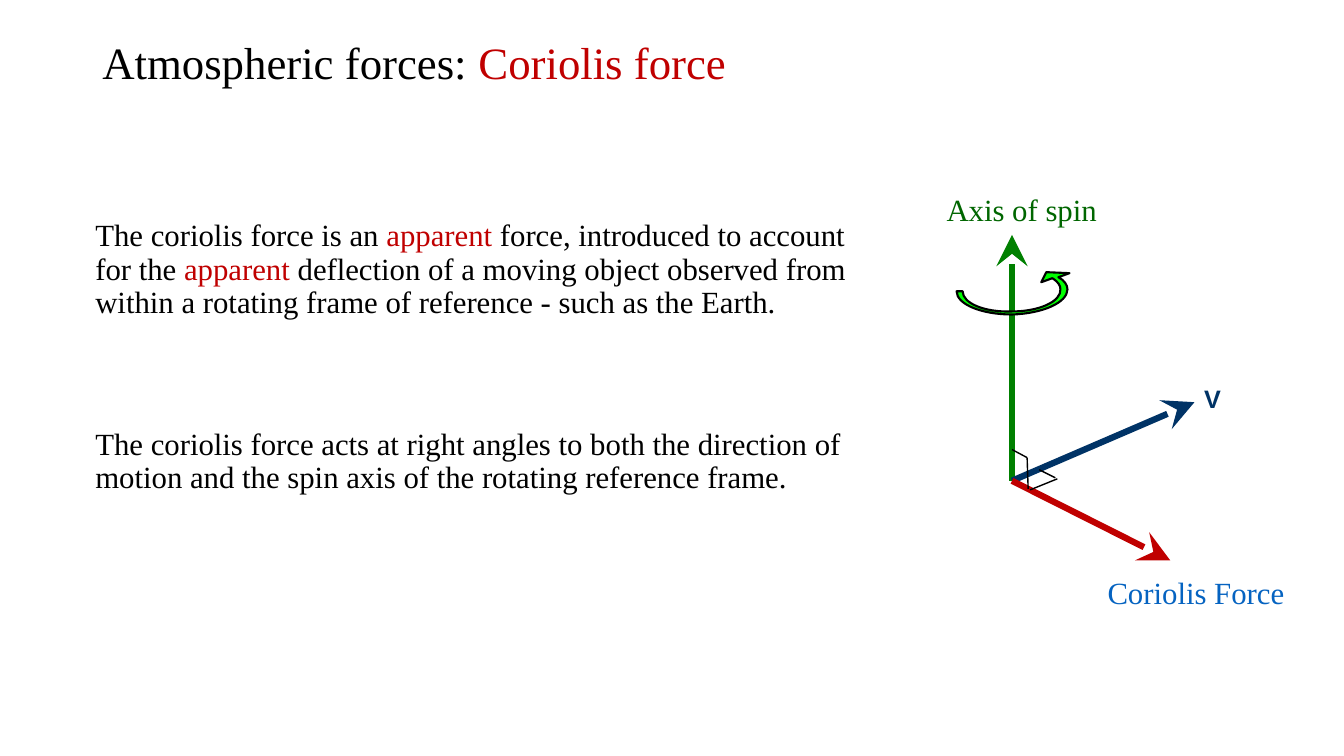
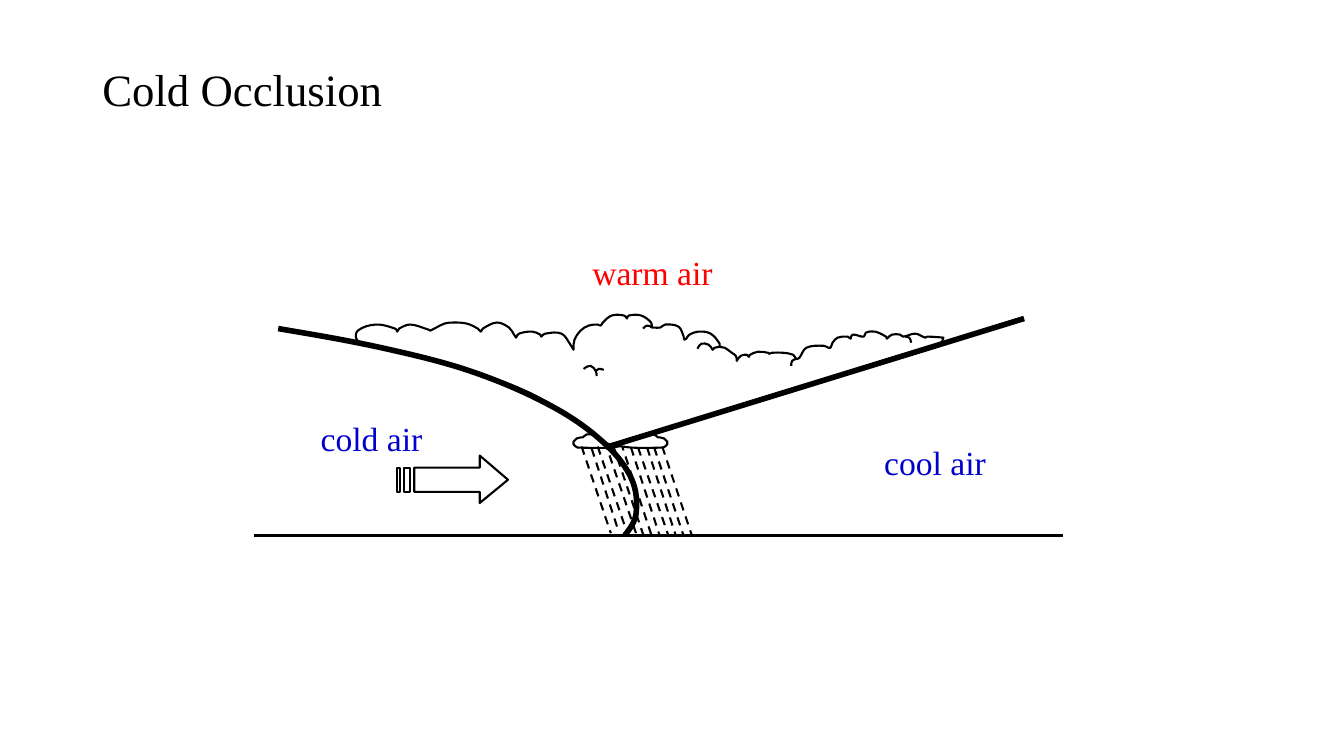
from lxml import etree
from pptx import Presentation
from pptx.dml.color import RGBColor
from pptx.enum import dml, shapes, text
from pptx.oxml.ns import qn
from pptx.util import Pt

HUE = dict(ink="000000", paper="FFFFFF", red="C00000", warm="FF0000",
           cold="0000CC", spin="008000", axis="006600", speed="003366",
           force="0563C1", turn="00FF00")
SERIF, SANS = "Times New Roman", "Arial"
GRID = 0.72  # points per step of the drawing grid

# Slide 1: text in points, drawing in grid steps
HEAD1 = [[("Atmospheric forces: ", "ink"), ("Coriolis force", "red")]]
BODY = [
    [("The coriolis force is an ", "ink"), ("apparent", "red"),
     (" force, introduced to account for the ", "ink"), ("apparent", "red"),
     (" deflection of a moving object observed from within a rotating frame"
      " of reference - such as the Earth.", "ink")],
    [("The coriolis force acts at right angles to both the direction of "
      "motion and the spin axis of the rotating reference frame.", "ink")],
]
ROOT = (1004, 477)
ARROWS = [((1004, 233), "spin"), ((1185, 399), "speed"), ((1161, 556), "red")]
MARKS = [((1004, 446), (1019, 454)), ((1019, 454), (1020, 485)),
         ((1022, 486), (1049, 475)), ((1031, 466), (1047, 474))]
# A path is a start and its parts: one spot for a line, three for a curve
TURN = ((1044, 276), [
    [(1050, 280), (1052, 283), (1052, 287)],
    [(1053, 299), (1031, 309), (1004, 309)],
    [(977, 310), (955, 301), (955, 289)],
    [(949, 289)],
    [(949, 302), (974, 312), (1004, 312)],
    [(1035, 311), (1059, 300), (1059, 287)],
    [(1059, 283), (1056, 278), (1050, 275)],
    [(1061, 271)], [(1038, 270)], [(1033, 280)]])
NAMES1 = [
    ("V", (853, 270, 27, 29), dict(hue="speed", size=18, font=SANS, bold=True)),
    ("Coriolis Force", (784, 406.5, 143, 34), dict(hue="force", size=22)),
    ("Axis of spin", (669, 132.5, 123, 34), dict(hue="axis", size=22)),
]

# Slide 2
HEAD2 = [[("Cold Occlusion", "ink")]]
NAMES2 = [("cold air", (222, 295, 88, 36), "cold"),
          ("warm air", (416, 176.5, 102, 36), "warm"),
          ("cool air", (624.5, 312, 88, 36), "cold")]
PUFF = [(573, 444), (605, 444), (623, 441), (619, 423), (608, 419), (602, 424),
        (597, 422), (593, 422), (589, 426), (589, 431), (587, 431), (582, 431),
        (578, 434), (576, 434), (572, 435), (569, 438), (569, 441), (573, 444)]
MIRROR = 1231  # sum of x for the two low clouds
CLOUD = [
    (681, 336), (679, 337), (678, 333), (673, 324), (660, 322), (655, 325),
    (649, 325), (647, 325), (646, 320), (636, 313), (624, 313), (622, 316),
    (619, 313), (607, 313), (598, 320), (596, 323), (593, 322), (584, 323),
    (576, 328), (570, 337), (569, 347), (566, 342), (557, 331), (541, 331),
    (537, 334), (536, 332), (528, 329), (515, 331), (512, 335), (510, 332),
    (505, 325), (493, 320), (479, 326), (477, 329), (474, 326), (463, 321),
    (450, 320), (441, 321), (431, 326), (427, 328), (425, 327), (407, 322),
    (396, 326), (394, 329), (392, 326), (373, 322), (355, 328), (354, 337),
    (363, 341), (394, 348), (436, 358), (489, 375), (530, 392), (575, 419),
    (601, 440), (622, 436), (748, 398), (905, 350), (932, 342), (936, 335),
    (920, 334), (918, 335), (908, 331), (896, 334), (893, 332), (885, 332),
    (880, 336), (879, 334), (868, 329), (859, 330), (857, 334), (846, 332),
    (844, 336), (841, 334), (831, 335), (826, 340), (824, 345), (822, 345),
    (817, 343), (800, 345), (793, 355), (790, 356), (787, 352), (777, 350),
    (766, 350), (763, 351), (762, 350), (752, 349), (744, 352), (743, 354),
    (741, 352), (735, 353), (731, 358), (730, 353), (726, 350), (719, 345),
    (714, 344), (714, 341), (705, 331), (693, 329), (684, 332), (681, 336)]
CURLS = [[(791, 356), (786, 358), (785, 363)],
         [(904, 340), (902, 335), (898, 334)],
         [(716, 344), (709, 345), (707, 347), (703, 342), (696, 341), (692, 346)],
         [(579, 366), (586, 363), (591, 368), (592, 373)],
         [(599, 367), (594, 366), (591, 368)],
         [(647, 325), (642, 323), (638, 326)]]
FRONT = [(276, 326), (383, 346), (472, 370), (551, 405), (601, 441), (627, 476),
         (631, 510), (620, 531)]
WIND = ((476, 452), [[(476, 464)], [(411, 464)], [(411, 488)], [(476, 488)],
                     [(476, 499)], [(504, 476)]])
BARS = [(401, 407), (394, 397)]
# Each dash: top x, top y, foot x, foot y
BACK = [(616, 439, 646, 530), (633, 444, 663, 531), (626, 444, 654, 530)]
RAIN = [(587, 445, 614, 528), (649, 444, 678, 531), (600, 438, 631, 529),
        (593, 443, 622, 528), (608, 441, 638, 530), (642, 444, 670, 530),
        (577, 443, 606, 529), (657, 443, 686, 530)]


def color(name):
    return RGBColor.from_string(HUE[name])


def write(page, box, paras, size=32, font=SERIF, bold=False, wrap=True,
          middle=False, line=None, gap=0):
    frame = page.shapes.add_textbox(*map(Pt, box)).text_frame
    frame.word_wrap = wrap
    if middle:
        frame.vertical_anchor = text.MSO_ANCHOR.MIDDLE
    for i, runs in enumerate(paras):
        para = frame.paragraphs[0] if i == 0 else frame.add_paragraph()
        if line:
            para.line_spacing = line
        if i:
            para.space_before = Pt(gap)
        for words, hue in runs:
            run = para.add_run()
            run.text = words
            run.font.name, run.font.size, run.font.bold = font, Pt(size), bold
            run.font.color.rgb = color(hue)


def label(page, words, box, hue, **style):
    write(page, box, [[(words, hue)]], wrap=False, **style)


def title(page, box, paras):
    write(page, box, paras, middle=True, line=0.9)


def place(spot):
    return tuple(Pt(v * GRID) for v in spot)


def stroke(page, start, end, hue="ink", width=1.5, dash=False, head=False):
    link = page.shapes.add_connector(shapes.MSO_CONNECTOR.STRAIGHT,
                                     *place(start), *place(end))
    link.line.color.rgb = color(hue)
    link.line.width = Pt(width)
    if dash:
        link.line.dash_style = dml.MSO_LINE.DASH
    if head:
        etree.SubElement(link.line._get_or_add_ln(), qn("a:tailEnd"),
                         type="stealth", w="lg", len="lg")
    etree.SubElement(link._element.spPr, qn("a:effectLst"))


def smooth(spots):
    """Path of curves through the spots, sharp at tight corners."""
    z = [complex(*s) for s in spots]
    z = [z[0]] + z + [z[-1]]

    def slope(a, b, c, chord):
        if ((b - a).conjugate() * (c - b)).real <= 0:
            return None
        return (c - a) / abs(c - a) * abs(chord)

    parts = []
    for a, b, c, d in zip(z, z[1:], z[2:], z[3:]):
        chord = c - b
        m, n = slope(a, b, c, chord), slope(b, c, d, chord)
        if m is None:
            m = chord if n is None else 1.5 * chord - 0.5 * n
        if n is None:
            n = 1.5 * chord - 0.5 * m
        parts.append([(p.real, p.imag) for p in (b + m / 3, c - n / 3, c)])
    return spots[0], parts


def outline(page, *paths, fill=None, width=1.5, close=True):
    pen = None
    for start, parts in paths:
        if pen is None:
            pen = page.shapes.build_freeform(*place(start), scale=1.0)
        else:
            pen.move_to(*place(start))
        pen.add_line_segments([place(s) for part in parts for s in part],
                              close=close)
    form = pen.convert_to_shape()
    # Join each run of three lines into one curve
    lines = iter(list(form._element.iter(qn("a:lnTo"))))
    for part in (p for _, parts in paths for p in parts):
        group = [next(lines) for _ in part]
        if len(group) == 3:
            curve = etree.Element(qn("a:cubicBezTo"))
            group[0].addprevious(curve)
            for item in group:
                curve.append(item[0])
                item.getparent().remove(item)
    form.shadow.inherit = False
    if fill:
        form.fill.solid()
        form.fill.fore_color.rgb = color(fill)
    else:
        form.fill.background()
    form.line.color.rgb = color("ink")
    form.line.width = Pt(width)


def shower(page, drops):
    for x, y, foot, base in drops:
        stroke(page, (x, y), (foot, base), dash=True)


def coriolis(page):
    write(page, (61, 153.5, 555, 206), BODY, size=22, line=0.91, gap=77)
    for tip, hue in ARROWS:
        stroke(page, ROOT, tip, hue, width=4.5, head=True)
    for start, end in MARKS:
        stroke(page, start, end, width=1)
    outline(page, TURN, fill="turn")
    for words, box, style in NAMES1:
        label(page, words, box, **style)
    title(page, (66, 17.5, 828, 57.5), HEAD1)


def occlusion(page):
    title(page, (66, 29, 828, 73.5), HEAD2)
    # Clouds, with some rain behind
    outline(page, smooth(PUFF), fill="paper")
    shower(page, BACK)
    outline(page, smooth([(MIRROR - x, y) for x, y in PUFF]), fill="paper")
    outline(page, smooth(CLOUD), fill="paper")
    # Ground, wind and fronts
    stroke(page, (252, 531), (1055, 531), width=2.25)
    bars = [((a, 464), [[(a, 488)], [(b, 488)], [(b, 464)]]) for a, b in BARS]
    outline(page, WIND, *bars)
    outline(page, smooth(FRONT), width=4, close=False)
    stroke(page, (604, 443), (1016, 316), width=4)
    for words, box, hue in NAMES2:
        label(page, words, box, hue, size=24)
    # Cloud curls and rain in front
    for curl in CURLS:
        outline(page, smooth(curl), close=False)
    shower(page, RAIN)


def main():
    deck = Presentation()
    deck.slide_width, deck.slide_height = Pt(960), Pt(540)
    for draw in (coriolis, occlusion):
        draw(deck.slides.add_slide(deck.slide_layouts[6]))
    deck.save("out.pptx")


if __name__ == "__main__":
    main()
